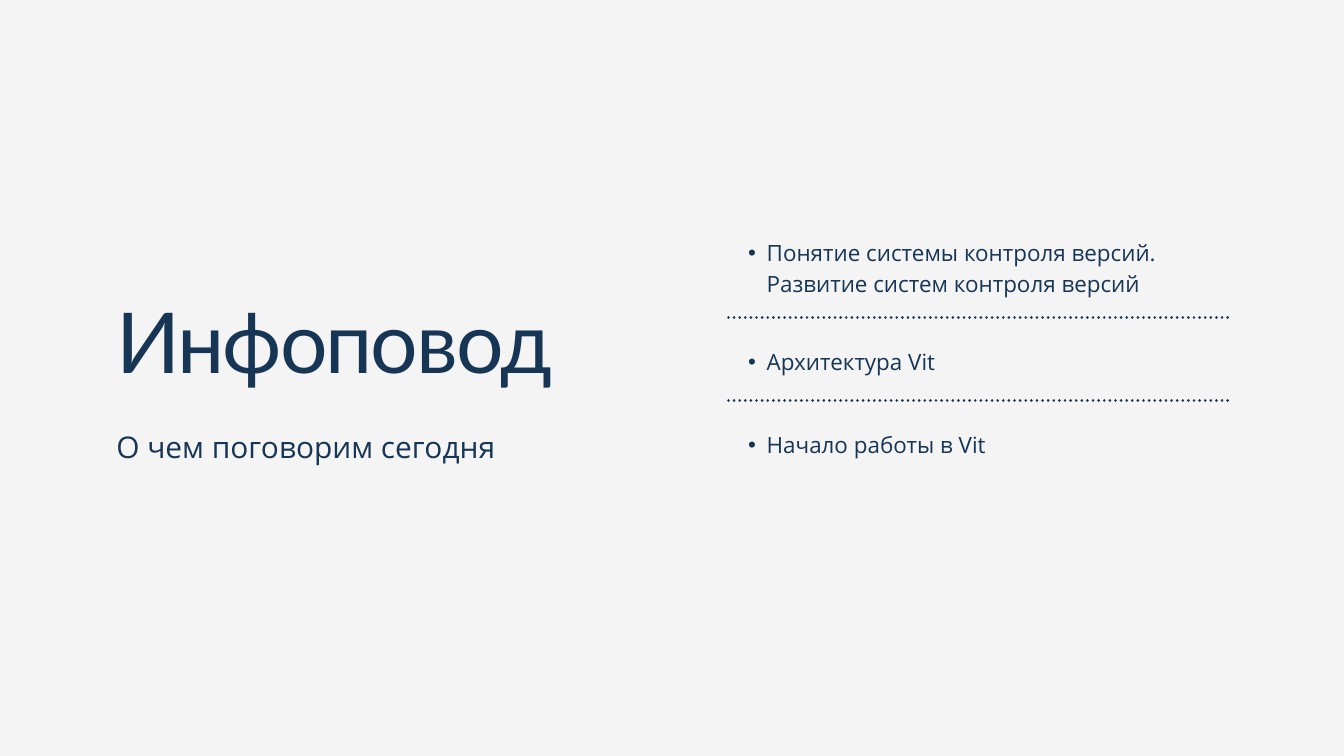
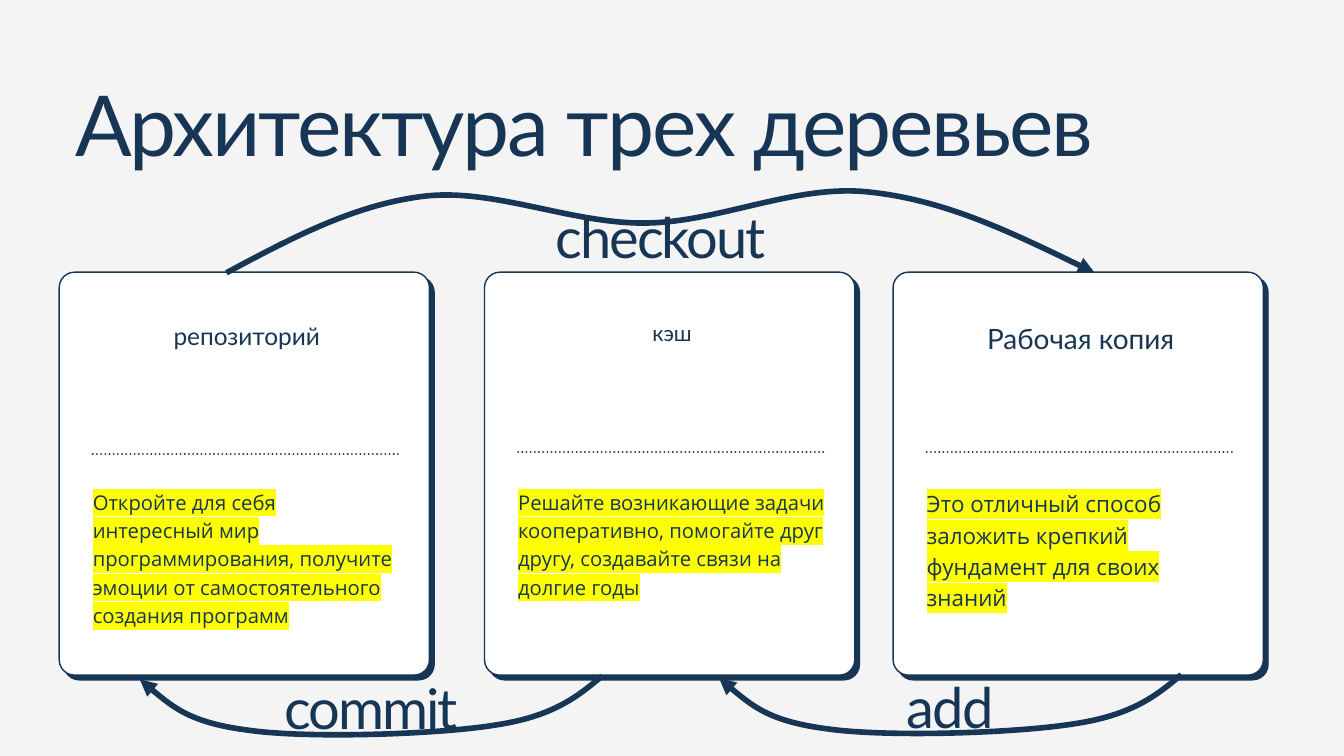
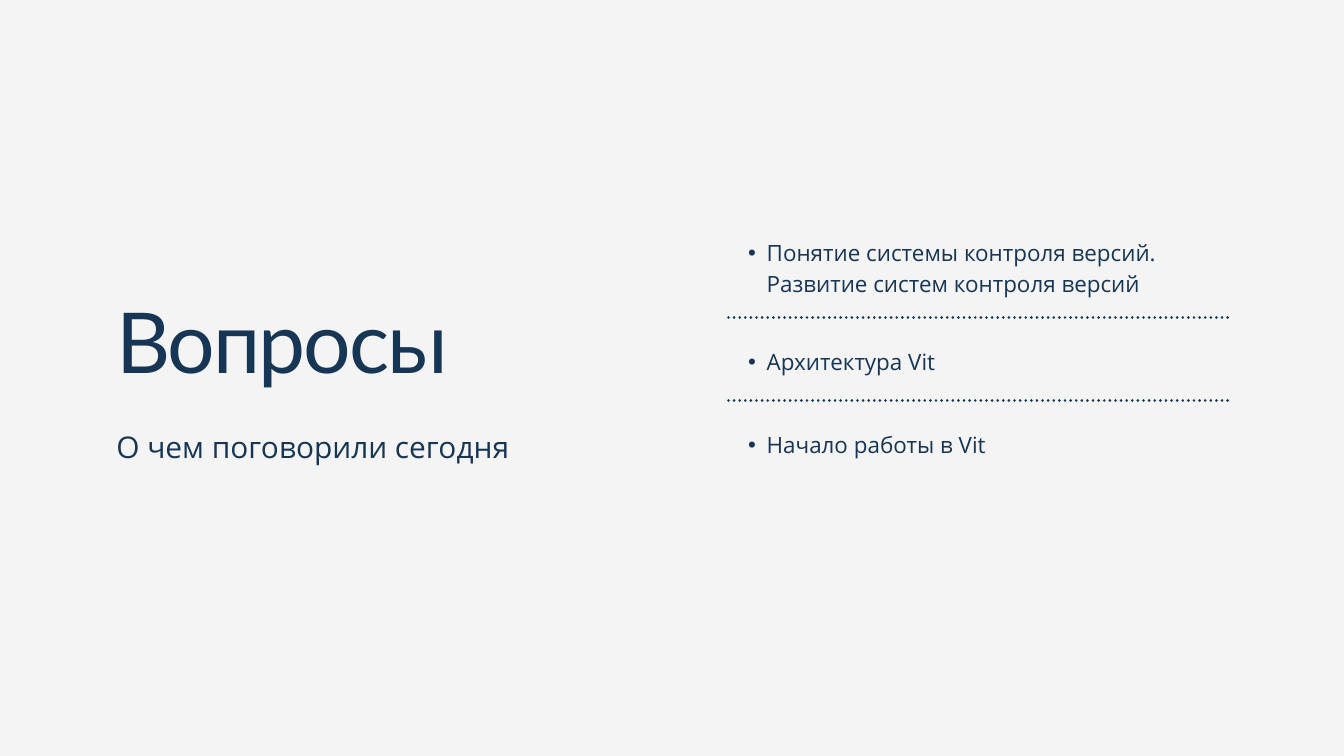
from lxml import etree
from pptx import Presentation
from pptx.dml.color import RGBColor
from pptx.enum.dml import MSO_LINE
from pptx.enum.shapes import MSO_CONNECTOR, MSO_SHAPE
from pptx.enum.text import MSO_ANCHOR, MSO_AUTO_SIZE, PP_ALIGN
from pptx.oxml.ns import qn
from pptx.util import Pt

NAVY = RGBColor(0x17, 0x35, 0x54)
WHITE = RGBColor(0xFF, 0xFF, 0xFF)
PAPER = RGBColor(0xF4, 0xF4, 0xF4)
MARKER = RGBColor(0xFF, 0xFF, 0x00)
HEAD_FONT, BODY_FONT, BULLET_FONT = "Lato", "Open Sans", "Arial"
CENTER = PP_ALIGN.CENTER
BOTTOM, MIDDLE = MSO_ANCHOR.BOTTOM, MSO_ANCHOR.MIDDLE
FIT = MSO_AUTO_SIZE.SHAPE_TO_FIT_TEXT
STRAIGHT = MSO_CONNECTOR.STRAIGHT
ROUNDED = MSO_SHAPE.ROUNDED_RECTANGLE
DOTTED = MSO_LINE.ROUND_DOT
TIGHT = -220  # letter spacing, hundredths of a point

# Topic text, top, height
TOPICS = [
    ("Понятие системы контроля версий. Развитие систем контроля версий", 251.3, 66.2),
    ("Архитектура Vit", 368.6, 31.7),
    ("Начало работы в Vit", 457.4, 31.7),
]
TOPIC_X, TOPIC_W, RULE_GAP = 780.5, 535, 28

# Left edge; heading: text, top, size, spacing; rule top; body: text, size, spacing, lines
CARDS = [
    (63.4, ("репозиторий", 346.3, 26.2, 28.9), 486.7,
     ("Откройте для себя интересный мир программирования, получите эмоции "
      "от самостоятельного создания программ", 21.7, 30.4, 5)),
    (519.1, ("кэш", 347, 23.2, 23.2), 484.6,
     ("Решайте возникающие задачи кооперативно, помогайте друг другу, "
      "создавайте связи на долгие годы", 21.7, 30.4, 4)),
    (956.9, ("Рабочая копия", 342, 30, 39), 484.6,
     ("Это отличный способ заложить крепкий фундамент для своих знаний", 24, 33.6, 4)),
]
CARD_Y, CARD_W, CARD_H = 291.6, 396.7, 431.8
CARD_RADIUS, CARD_PAD, CARD_DEPTH = 16.5, 36, 5
CONTENT_W, BODY_Y = 330, 520.6

# Bezier points: start, then two handles and an end for each segment
CHECKOUT_CURVE = [
    (242.6, 292.3), (311, 255.6), (380.2, 218.9), (455, 210.2),
    (529.9, 201.6), (612, 239.8), (691.2, 239),
    (771.1, 238.3), (852.5, 196.6), (932.4, 205.9),
    (1013, 214.6), (1092.9, 253.4), (1172.9, 292.3),
]
COMMIT_CURVE = [
    (645.1, 724.3), (619.2, 745.9), (593.3, 767.5), (530.6, 776.9),
    (468, 787), (331.2, 791.3), (267.8, 782.6),
    (204.5, 774.7), (177.1, 751.7), (149.8, 727.9),
]
ADD_CURVE = [(x + 620.6, y - 1.4) for x, y in COMMIT_CURVE]
FLOWS = [
    ("checkout", CHECKOUT_CURVE, BOTTOM),
    ("commit", COMMIT_CURVE, MIDDLE),
    ("add", ADD_CURVE, MIDDLE),
]


def new_slide(prs):
    s = prs.slides.add_slide(prs.slide_layouts[6])
    s.background.fill.solid()
    s.background.fill.fore_color.rgb = PAPER
    return s


def add_run(p, text, size, font, tight=False, marked=False):
    r = p.add_run()
    r.text = text
    r.font.size, r.font.name = Pt(size), font
    r.font.color.rgb = NAVY
    rPr = r.font._element
    if tight:
        rPr.set("spc", str(TIGHT))
    if marked:
        highlight = etree.Element(qn("a:highlight"))
        etree.SubElement(highlight, qn("a:srgbClr"), val=str(MARKER))
        rPr.find(qn("a:solidFill")).addnext(highlight)


def add_text(s, box, text, size, spacing, font=BODY_FONT, align=None, **style):
    """Add a one-paragraph text box without insets and return the paragraph."""
    tf = s.shapes.add_textbox(*map(Pt, box)).text_frame
    tf.word_wrap, tf.auto_size = True, FIT
    tf.margin_left = tf.margin_top = tf.margin_right = tf.margin_bottom = 0
    p = tf.paragraphs[0]
    p.line_spacing = Pt(spacing)
    p.alignment = align
    add_run(p, text, size, font, **style)
    return p


def add_title(s, box, text):
    add_text(s, box, text, 90, 99, HEAD_FONT, tight=True)


def add_bullet(p):
    p.level = 1
    pPr = p._p.get_or_add_pPr()
    pPr.set("marL", str(Pt(41)))
    pPr.set("indent", str(Pt(-20)))
    etree.SubElement(pPr, qn("a:buFont"), typeface=BULLET_FONT)
    etree.SubElement(pPr, qn("a:buChar"), char="•")


def add_rule(s, x, y, width, weight):
    line = s.shapes.add_connector(STRAIGHT, Pt(x), Pt(y), Pt(x + width), Pt(y))
    line.line.color.rgb = NAVY
    line.line.width = Pt(weight)
    line.line.dash_style = DOTTED
    spPr = line._element.spPr
    spPr.find(qn("a:ln")).set("cap", "rnd")
    etree.SubElement(spPr, qn("a:effectLst"))


def add_panel(s, x, y, fill):
    sp = s.shapes.add_shape(ROUNDED, Pt(x), Pt(y), Pt(CARD_W), Pt(CARD_H))
    sp.adjustments[0] = CARD_RADIUS / CARD_W
    sp.shadow.inherit = False
    sp.fill.solid()
    sp.fill.fore_color.rgb = fill
    sp.line.color.rgb = NAVY
    sp.line.width = Pt(1.5)


def add_card(s, x, heading, rule_y, body):
    add_panel(s, x + CARD_DEPTH, CARD_Y + CARD_DEPTH, NAVY)
    add_panel(s, x, CARD_Y, WHITE)
    left = x + CARD_PAD
    text, size, spacing, lines = body
    add_text(s, (left, BODY_Y, CONTENT_W, lines * spacing), text, size, spacing, marked=True)
    text, top, size, spacing = heading
    add_text(s, (left, top, CONTENT_W, spacing), text, size, spacing, HEAD_FONT, CENTER)
    add_rule(s, left, rule_y, CONTENT_W, 2.25)


def add_flow(s, label, curve, anchor):
    """Add a labelled curved arrow: draw its points, then turn them into Beziers."""
    points = [(Pt(x), Pt(y)) for x, y in curve]
    builder = s.shapes.build_freeform(*points[0])
    builder.add_line_segments(points[1:], close=False)
    sp = builder.convert_to_shape()
    segments = list(sp._element.iter(qn("a:lnTo")))
    for i in range(0, len(segments), 3):
        bezier = etree.Element(qn("a:cubicBezTo"))
        segments[i].addprevious(bezier)
        for segment in segments[i:i + 3]:
            bezier.append(segment[0])
            segment.getparent().remove(segment)
    sp.shadow.inherit = False
    sp.fill.background()
    sp.line.color.rgb = NAVY
    sp.line.width = Pt(6)
    etree.SubElement(sp._element.spPr.find(qn("a:ln")), qn("a:tailEnd"), type="triangle")
    tf = sp.text_frame
    tf.word_wrap = True
    tf.vertical_anchor = anchor
    p = tf.paragraphs[0]
    p.alignment = CENTER
    add_run(p, label, 60, HEAD_FONT, tight=True)


def topics_slide(prs, title, subtitle):
    s = new_slide(prs)
    add_title(s, (124.6, 319, 541.4, 103.7), title)
    add_text(s, (124.6, 455.8, 541.4, 40.3), subtitle, 32, 41.6)
    for i, (text, top, height) in enumerate(TOPICS):
        if i:
            add_rule(s, TOPIC_X, top - RULE_GAP, TOPIC_W, 3)
        add_bullet(add_text(s, (TOPIC_X, top, TOPIC_W, height), text, 24, 33.6))


def trees_slide(prs):
    s = new_slide(prs)
    add_title(s, (80.6, 87.1, 1293, 102.2), "Архитектура трех деревьев")
    for card in CARDS:
        add_card(s, *card)
    for flow in FLOWS:
        add_flow(s, *flow)


def main():
    prs = Presentation()
    prs.slide_width, prs.slide_height = Pt(1440), Pt(810)
    topics_slide(prs, "Инфоповод", "О чем поговорим сегодня")
    trees_slide(prs)
    topics_slide(prs, "Вопросы", "О чем поговорили сегодня")
    prs.save("out.pptx")


if __name__ == "__main__":
    main()
